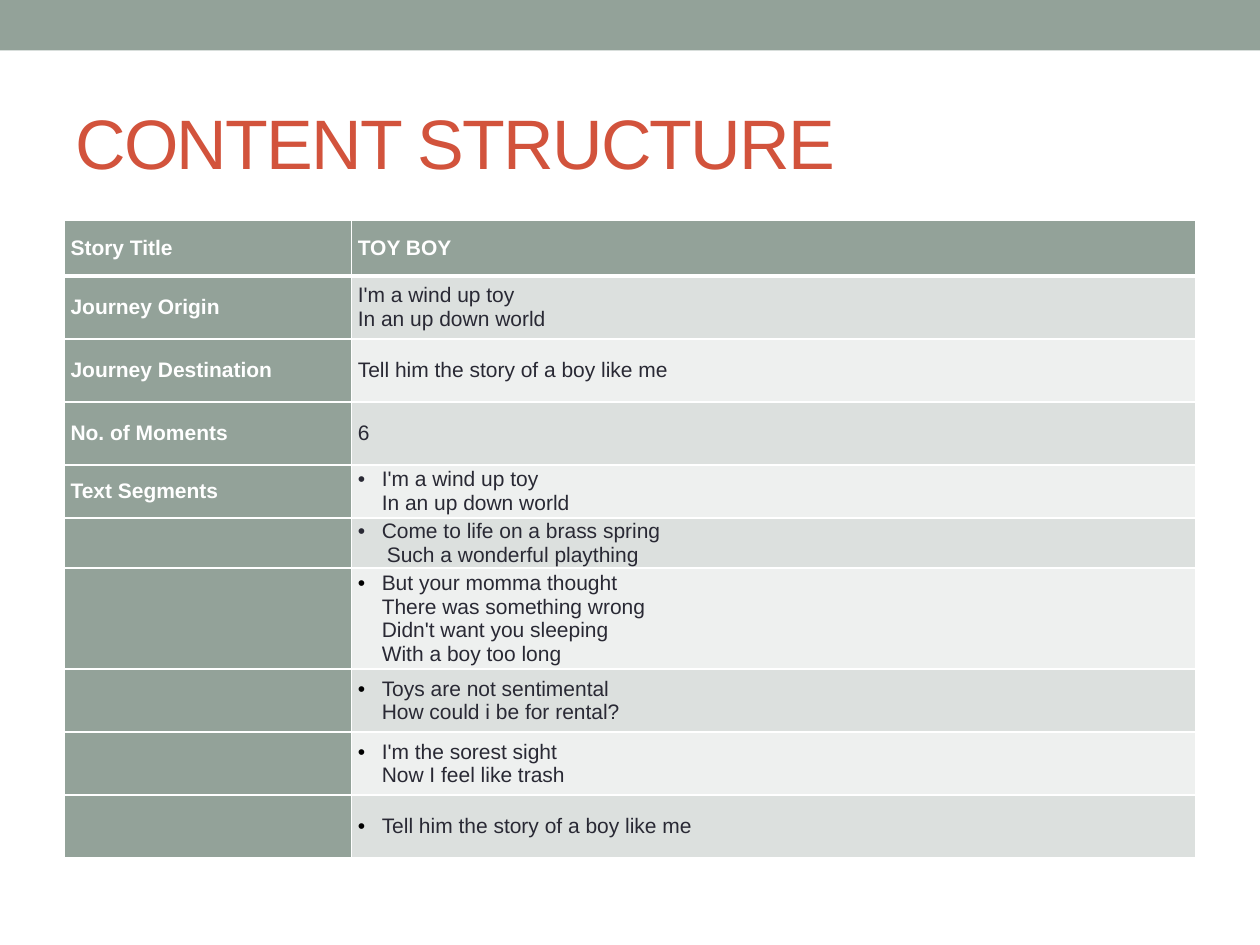
from copy import deepcopy

from lxml.etree import SubElement
from pptx import Presentation
from pptx.dml.color import RGBColor
from pptx.enum.shapes import MSO_SHAPE
from pptx.enum.text import MSO_ANCHOR
from pptx.oxml.ns import qn
from pptx.util import Inches, Pt

COLORS = {
    "sage": "93A299", "rust": "D2533C", "white": "FFFFFF",
    "ink": "292934", "black": "000000",
    "band_dark": "DCE0DE", "band_light": "EEF0EF",
}
UNIT = 0.1  # the page is a grid of 100 columns by 75 rows
CELL_FORMAT = {
    "vertical_anchor": MSO_ANCHOR.MIDDLE,
    "margin_left": Inches(0.05), "margin_right": Inches(0.05),
    "margin_top": 0, "margin_bottom": 0,
}
LABEL = {"size": Pt(12), "bold": True}
BODY = {"size": Pt(12), "bold": False}
HANGING = 0.19
CONTINUED = 0.23


def grid(*values):
    return [Inches(value * UNIT) for value in values]


def rgb(name):
    return RGBColor.from_string(COLORS[name])


class SlideBuilder:
    def __init__(self, page, font="Arial"):
        self.page = page
        self.font = font

    def bar(self, area, color):
        box = self.page.shapes.add_shape(MSO_SHAPE.RECTANGLE, *grid(*area))
        box.shadow.inherit = False
        box.fill.solid()
        box.fill.fore_color.rgb = rgb(color)
        box.line.fill.background()

    def add_lines(self, para, lines, color, style):
        """Fill a paragraph with lines parted by line breaks."""
        for number, line in enumerate(lines):
            if number:
                para.add_line_break()
            span = para.add_run()
            span.text = line
            span.font.name = self.font
            span.font.color.rgb = rgb(color)
            for name, value in style.items():
                setattr(span.font, name, value)
        # Breaks need the text size too, or they stretch their line
        for line_break in para._p.findall(qn("a:br")):
            line_break.append(deepcopy(span.font._element))

    def title(self, text, area, color):
        box = self.page.shapes.add_textbox(*grid(*area))
        frame = box.text_frame
        frame.word_wrap = True
        frame.vertical_anchor = MSO_ANCHOR.MIDDLE
        para = frame.paragraphs[0]
        self.add_lines(para, [text], color, {"size": Pt(40)})
        para.runs[0].font._element.set("spc", "-100")

    def indent(self, para, left, first=0):
        properties = para._p.get_or_add_pPr()
        properties.set("marL", str(Inches(left)))
        properties.set("indent", str(Inches(first)))
        return properties

    def bullet(self, para, color):
        properties = self.indent(para, HANGING, -HANGING)
        tint = SubElement(properties, qn("a:buClr"))
        SubElement(tint, qn("a:srgbClr"), val=COLORS[color])
        SubElement(properties, qn("a:buFont"), typeface=self.font)
        SubElement(properties, qn("a:buChar"), char="•")

    def borders(self, cell, **widths):
        properties = cell._tc.get_or_add_tcPr()
        for side in "LRTB":
            width = Pt(widths.get(side, 1))
            line = SubElement(properties, qn(f"a:ln{side}"), w=str(width))
            fill = SubElement(line, qn("a:solidFill"))
            SubElement(fill, qn("a:srgbClr"), val=COLORS["white"])

    def cell(self, cell, paragraphs, fill, color, style, bullet=None):
        for name, value in CELL_FORMAT.items():
            setattr(cell, name, value)
        cell.fill.solid()
        cell.fill.fore_color.rgb = rgb(fill)
        frame = cell.text_frame
        for number, lines in enumerate(paragraphs):
            para = frame.add_paragraph() if number else frame.paragraphs[0]
            if bullet and number:
                self.indent(para, CONTINUED)
            elif bullet:
                self.bullet(para, bullet)
            self.add_lines(para, lines, color, style)
        if not paragraphs:
            frame.paragraphs[0].font.size = Pt(12)

    def table(self, origin, columns, rows):
        heights = [row[0] for row in rows]
        area = grid(*origin, sum(columns), sum(heights))
        table = self.page.shapes.add_table(len(rows), len(columns), *area).table
        table.first_row = table.horz_banding = False
        for column, width in zip(table.columns, grid(*columns)):
            column.width = width
        for index, (height, label, paragraphs, bullet) in enumerate(rows):
            table.rows[index].height = grid(height)[0]
            left, right = table.cell(index, 0), table.cell(index, 1)
            # A thick rule parts the header from the body
            rule = {0: {"B": 3}, 1: {"T": 3}}.get(index, {})
            for cell in (left, right):
                self.borders(cell, **rule)
            self.cell(left, [[label]] if label else [], "sage", "white", LABEL)
            if index == 0:
                self.cell(right, paragraphs, "sage", "white", LABEL)
            else:
                band = "band_dark" if index % 2 else "band_light"
                self.cell(right, paragraphs, band, "ink", BODY, bullet)


# Row height, label, paragraphs as lists of lines, bullet colour
ROWS = [
    (4.4, "Story Title", [["TOY BOY"]], None),
    (5, "Journey Origin", [["I'm a wind up toy", "In an up down world"]], None),
    (5, "Journey Destination", [["Tell him the story of a boy like me"]], None),
    (5, "No. of Moments", [["6"]], None),
    (4.2, "Text Segments", [["I'm a wind up toy", "In an up down world"]], "ink"),
    (4, "", [["Come to life on a brass spring"],
             ["Such a wonderful plaything"]], "ink"),
    (7.1, "", [["But your momma thought", "There was something wrong",
                "Didn't want you sleeping", "With a boy too long"]], "black"),
    (5, "", [["Toys are not sentimental", "How could i be for rental?"]], "black"),
    (5, "", [["I'm the sorest sight", "Now I feel like trash"]], "black"),
    (5, "", [["Tell him the story of a boy like me"]], "black"),
]


def main():
    deck = Presentation()
    deck.slide_width, deck.slide_height = grid(100, 75)
    builder = SlideBuilder(deck.slides.add_slide(deck.slide_layouts[6]))

    # Top band and heading
    builder.bar((0, 0, 100, 4), "sage")
    builder.title("CONTENT STRUCTURE", (5, 5.8, 90, 10.8), "rust")

    # Story table
    builder.table((5.1, 17.5), (22.8, 67), ROWS)
    deck.save("out.pptx")


if __name__ == "__main__":
    main()
